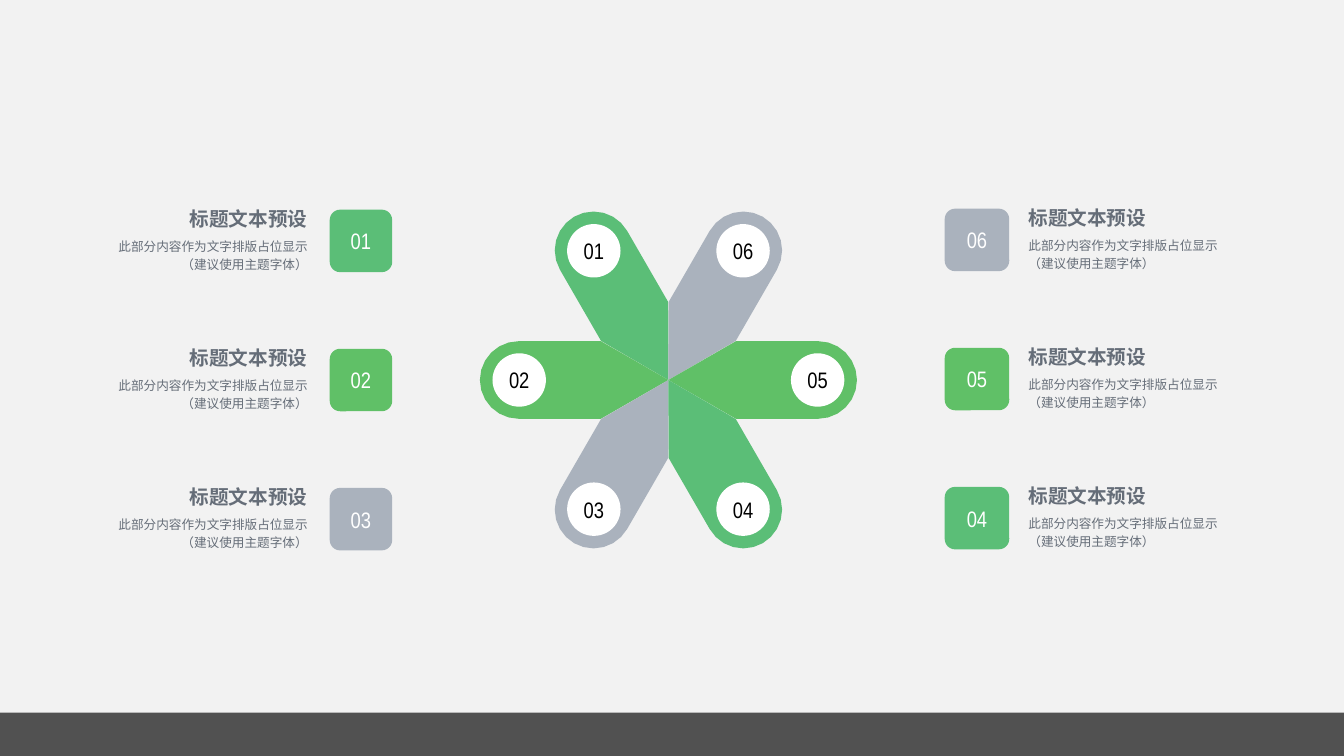
from dataclasses import dataclass
from math import cos, pi, radians, sin

from lxml.etree import SubElement
from pptx import Presentation
from pptx.dml.color import RGBColor
from pptx.enum.shapes import MSO_SHAPE as Shape
from pptx.enum.text import MSO_ANCHOR as Anchor, PP_ALIGN as Align
from pptx.oxml.ns import qn
from pptx.shapes.autoshape import Shape as AutoShape
from pptx.slide import Slide
from pptx.text.text import TextFrame
from pptx.util import Inches, Pt


@dataclass(frozen=True)
class Theme:
    page: str = "F2F2F2"
    band: str = "0D0D0D"
    emerald: str = "5BBE77"
    leaf: str = "60C067"
    silver: str = "AAB2BD"
    slate: str = "656D78"
    white: str = "FFFFFF"
    black: str = "000000"
    number_font: str = "Arial Narrow"
    text_font: str = "Calibri"
    number_size: int = 16
    heading_size: int = 14
    body_size: int = 9


@dataclass(frozen=True)
class Item:
    number: str
    color: str
    angle: int  # degrees clockwise from the right
    row: int


@dataclass(frozen=True)
class Column:
    top: float
    tile_left: float
    tile_width: float
    heading_left: float
    body_left: float
    body_width: float
    align: Align
    items: tuple[Item, ...]


THEME = Theme()
HEADING = "标题文本预设"
BODY = "此部分内容作为文字排版占位显示（建议使用主题字体）"

LEFT = Column(2.05, 3.27, 0.62, 1.87, 1.02, 2.03, Align.RIGHT, (
    Item("01", THEME.emerald, 240, 0),
    Item("02", THEME.leaf, 180, 1),
    Item("03", THEME.silver, 120, 2),
))
RIGHT = Column(2.04, 9.37, 0.64, 10.2, 10.2, 2.08, Align.LEFT, (
    Item("06", THEME.silver, 300, 0),
    Item("05", THEME.leaf, 0, 1),
    Item("04", THEME.emerald, 60, 2),
))

ROW_PITCH = 1.38
TILE_HEIGHT = 0.62
CENTER_X, CENTER_Y = 6.63, 3.77
PETAL_RADIUS = 0.385
PETAL_SHOULDER = 0.67
CAP_DISTANCE = 1.485
CAP_STEPS = 12
DISC_DISTANCE = 1.48
DISC_SIZE = 0.53


def paint(shape: AutoShape, color: str) -> None:
    shape.shadow.inherit = False
    shape.fill.solid()
    shape.fill.fore_color.rgb = RGBColor.from_string(color)
    shape.line.fill.background()


def write(frame: TextFrame, text: str, font: str, size: int, color: str,
          align: Align, anchor: Anchor = Anchor.MIDDLE, bold: bool = False,
          wrap: bool = False, spacing: float = 1.0) -> None:
    frame.text = text
    frame.word_wrap = wrap
    frame.vertical_anchor = anchor
    frame.margin_left = frame.margin_right = 0
    frame.margin_top = frame.margin_bottom = 0
    para = frame.paragraphs[0]
    para.alignment = align
    para.line_spacing = spacing
    span = para.runs[0]
    span.font.name = font
    span.font.size = Pt(size)
    span.font.bold = bold
    span.font.color.rgb = RGBColor.from_string(color)


def add_block(page: Slide, kind: Shape, left: float, top: float,
              width: float, height: float, color: str) -> AutoShape:
    block = page.shapes.add_shape(kind, Inches(left), Inches(top),
                                  Inches(width), Inches(height))
    paint(block, color)
    return block


def write_number(shape: AutoShape, number: str, color: str) -> None:
    write(shape.text_frame, number, THEME.number_font, THEME.number_size,
          color, Align.CENTER)


def add_band(page: Slide) -> None:
    band = add_block(page, Shape.RECTANGLE, 0, 7.07, 13.33, 0.43, THEME.band)
    color = band.fill._xPr.find(qn("a:solidFill"))[0]
    SubElement(color, qn("a:alpha"), val="70000")


def rotate(x: float, y: float, angle: int) -> tuple[float, float]:
    """Turn a point about the flower's centre and give its place on the page."""
    turn = radians(angle)
    return (CENTER_X + x * cos(turn) - y * sin(turn),
            CENTER_Y + x * sin(turn) + y * cos(turn))


def add_petal(page: Slide, item: Item) -> None:
    cap_angles = [-pi / 2 + pi * step / CAP_STEPS for step in range(CAP_STEPS + 1)]
    cap = [(CAP_DISTANCE + PETAL_RADIUS * cos(a), PETAL_RADIUS * sin(a))
           for a in cap_angles]
    outline = [(PETAL_SHOULDER, -PETAL_RADIUS), *cap,
               (PETAL_SHOULDER, PETAL_RADIUS)]
    points = [rotate(x, y, item.angle) for x, y in outline]
    builder = page.shapes.build_freeform(Inches(CENTER_X), Inches(CENTER_Y))
    builder.add_line_segments([(Inches(x), Inches(y)) for x, y in points])
    paint(builder.convert_to_shape(), item.color)

    x, y = rotate(DISC_DISTANCE, 0, item.angle)
    disc = add_block(page, Shape.OVAL, x - DISC_SIZE / 2, y - DISC_SIZE / 2,
                     DISC_SIZE, DISC_SIZE, THEME.white)
    write_number(disc, item.number, THEME.black)


def add_entry(page: Slide, column: Column, item: Item) -> None:
    top = column.top + item.row * ROW_PITCH
    heading = page.shapes.add_textbox(Inches(column.heading_left), Inches(top),
                                      Inches(1.18), Inches(0.24))
    write(heading.text_frame, HEADING, THEME.text_font, THEME.heading_size,
          THEME.slate, column.align, bold=True)

    body = page.shapes.add_textbox(Inches(column.body_left), Inches(top + 0.29),
                                   Inches(column.body_width), Inches(0.81))
    write(body.text_frame, BODY, THEME.text_font, THEME.body_size, THEME.slate,
          column.align, anchor=Anchor.TOP, wrap=True, spacing=1.2)

    tile = add_block(page, Shape.ROUNDED_RECTANGLE, column.tile_left, top + 0.03,
                     column.tile_width, TILE_HEIGHT, item.color)
    tile.adjustments[0] = 0.166
    write_number(tile, item.number, THEME.white)


def main() -> None:
    deck = Presentation()
    deck.slide_width, deck.slide_height = Inches(13.33), Inches(7.5)
    page = deck.slides.add_slide(deck.slide_layouts[6])
    page.background.fill.solid()
    page.background.fill.fore_color.rgb = RGBColor.from_string(THEME.page)

    add_band(page)
    for column in (LEFT, RIGHT):
        for item in column.items:
            add_petal(page, item)
            add_entry(page, column, item)
    deck.save("out.pptx")


if __name__ == "__main__":
    main()
